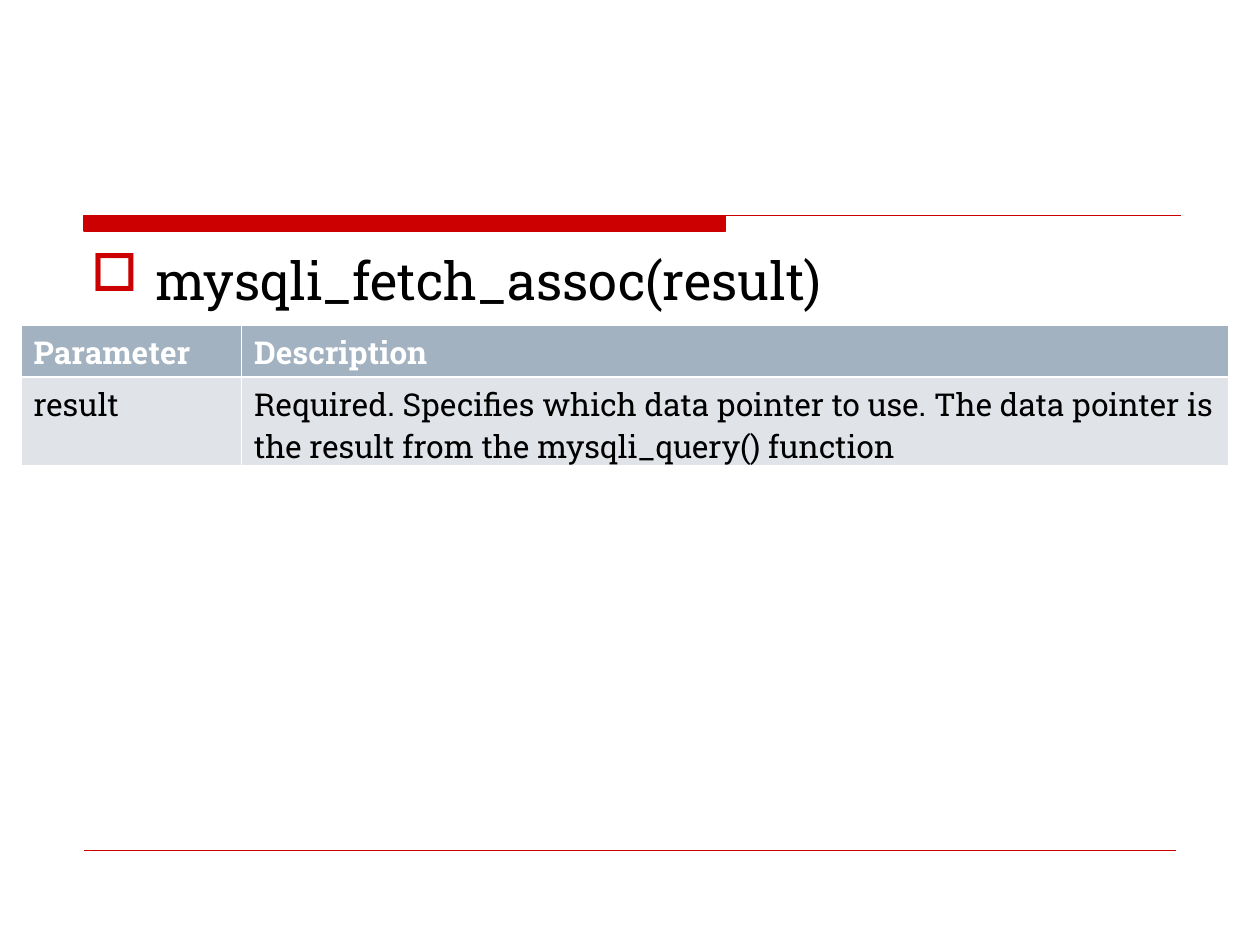
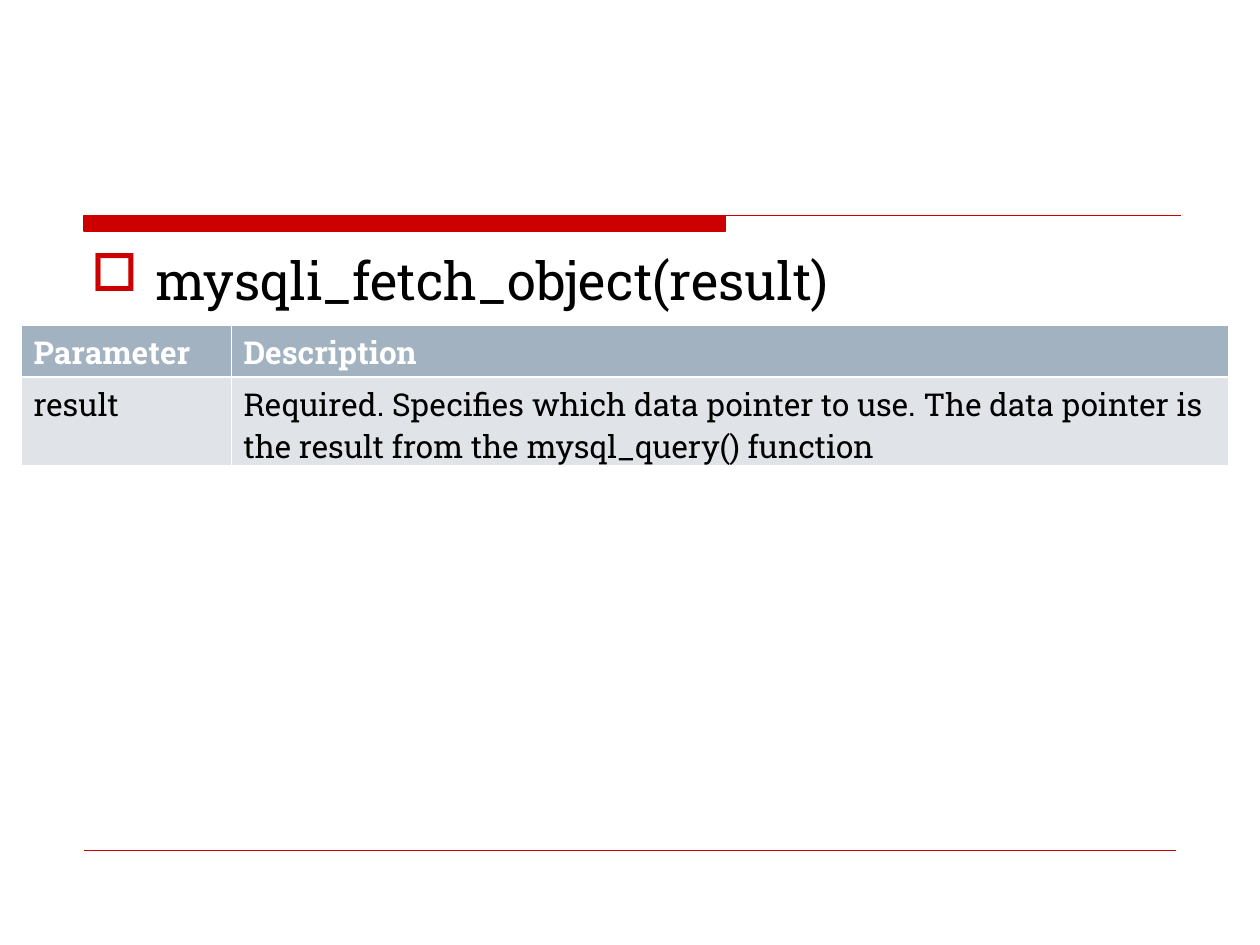
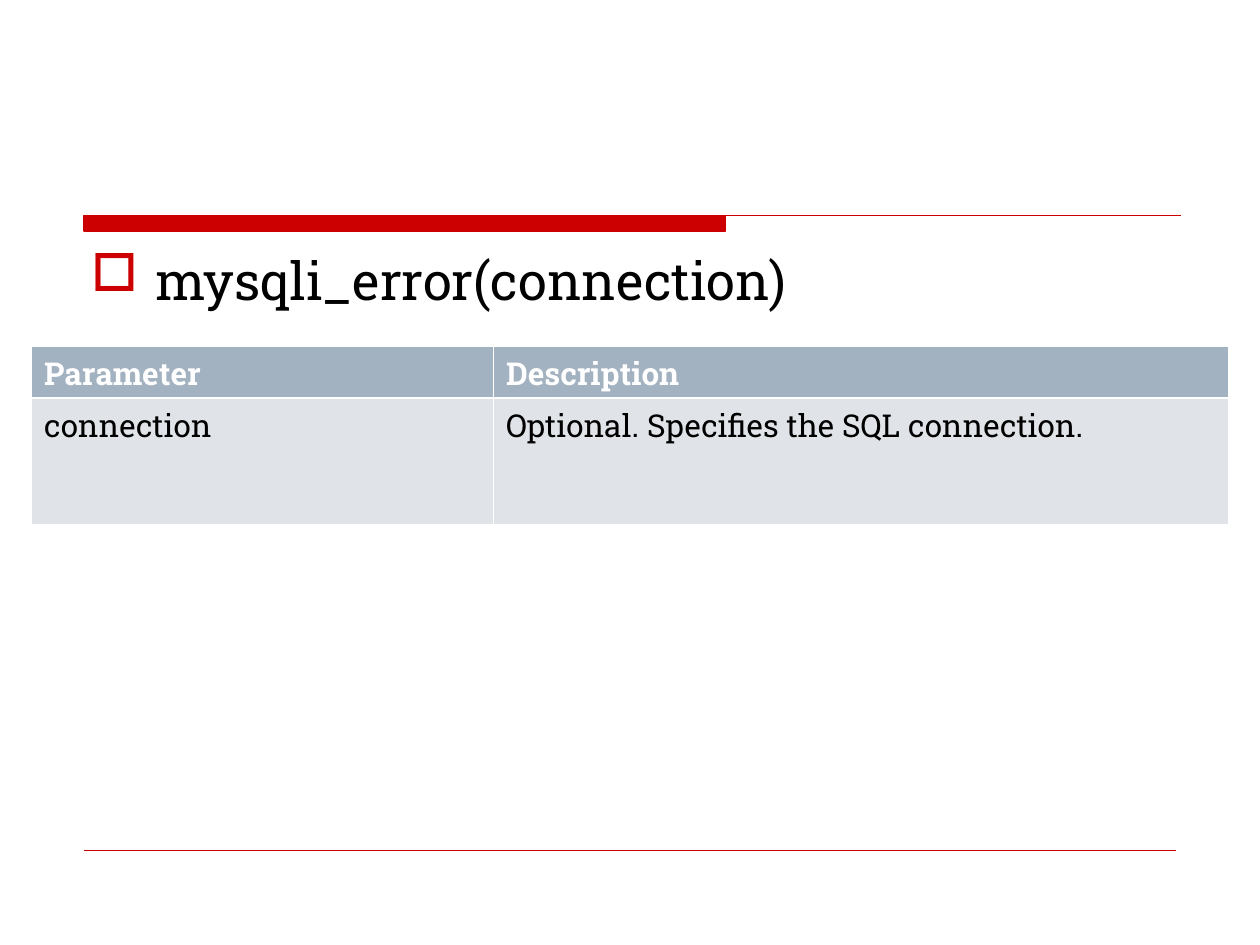
from lxml import etree
from pptx import Presentation
from pptx.dml.color import RGBColor
from pptx.enum.shapes import MSO_CONNECTOR
from pptx.enum.text import PP_ALIGN
from pptx.oxml.ns import qn
from pptx.util import Pt

STRAIGHT = MSO_CONNECTOR.STRAIGHT
LEFT = PP_ALIGN.LEFT
JUSTIFY = PP_ALIGN.JUSTIFY

RED = RGBColor(0xCC, 0x00, 0x00)
BLACK = RGBColor(0x00, 0x00, 0x00)
WHITE = RGBColor(0xFF, 0xFF, 0xFF)
HEADER_FILL = RGBColor(0xA3, 0xB2, 0xC1)
BODY_FILL = RGBColor(0xE0, 0xE4, 0xE9)
FONT = "Roboto Slab"
THIN, THICK = 0.45, 1.47
HEADER_HEIGHT = 29.5
RIGHT_EDGE = 702

ROW_STYLES = [
    {"fill": HEADER_FILL, "color": WHITE, "bold": True, "top": THIN, "bottom": THICK},
    {"fill": BODY_FILL, "color": BLACK, "bold": False, "top": THICK, "bottom": THIN},
]

FUNCTIONS = [
    {
        "signature": "mysqli_fetch_assoc(result)",
        "parameter": "result",
        "description": "Required. Specifies which data pointer to use. The data pointer is "
                       "the result from the mysqli_query() function",
        "left": 12, "top": 186, "parameter_width": 126, "body_height": 50.5, "align": LEFT,
    },
    {
        "signature": "mysqli_fetch_object(result)",
        "parameter": "result",
        "description": "Required. Specifies which data pointer to use. The data pointer is "
                       "the result from the mysql_query() function",
        "left": 12, "top": 186, "parameter_width": 120, "body_height": 50.5, "align": LEFT,
    },
    {
        "signature": "mysqli_error(connection)",
        "parameter": "connection",
        "description": "Optional. Specifies the SQL connection.",
        "left": 18, "top": 198, "parameter_width": 264, "body_height": 72, "align": JUSTIFY,
    },
]


def write(paragraph, text, size, color, bold=False):
    run = paragraph.add_run()
    run.text = text
    for name, value in {"name": FONT, "size": Pt(size), "bold": bold}.items():
        setattr(run.font, name, value)
    run.font.color.rgb = color


def add_colored(parent, tag, color, **attributes):
    element = etree.SubElement(parent, qn(tag), **attributes)
    holder = element if tag == "a:buClr" else etree.SubElement(element, qn("a:solidFill"))
    etree.SubElement(holder, qn("a:srgbClr"), val=str(color))


prs = Presentation()
prs.slide_width, prs.slide_height = Pt(720), Pt(540)

for function in FUNCTIONS:
    slide = prs.slides.add_slide(prs.slide_layouts[6])

    outline = slide.shapes.build_freeform(Pt(48), Pt(123))
    outline.add_line_segments(
        [(Pt(414.5), Pt(123)), (Pt(414.5), Pt(132)), (Pt(48), Pt(132))], close=True)
    outline.move_to(Pt(48), Pt(123))
    outline.add_line_segments([(Pt(675), Pt(123))], close=False)
    title_rule = outline.convert_to_shape()
    title_rule.shadow.inherit = False
    title_rule.fill.solid()
    title_rule.fill.fore_color.rgb = RED
    title_rule.line.color.rgb = RED
    title_rule.line.width = Pt(0.75)

    footer_rule = slide.shapes.add_connector(STRAIGHT, Pt(48), Pt(486), Pt(672), Pt(486))
    footer_rule.line.color.rgb = RED
    footer_rule.line.width = Pt(0.25)
    etree.SubElement(footer_rule._element.spPr, qn("a:effectLst"))

    signature = slide.shapes.add_textbox(Pt(45), Pt(138), Pt(630), Pt(336))
    signature.text_frame.word_wrap = True
    paragraph = signature.text_frame.paragraphs[0]
    paragraph.space_before = Pt(7.5)
    properties = paragraph._p.get_or_add_pPr()
    properties.set("marL", str(Pt(36.75)))
    properties.set("indent", str(-Pt(36.75)))
    add_colored(properties, "a:buClr", RED)
    etree.SubElement(properties, qn("a:buChar"), char="□")
    write(paragraph, function["signature"], 30, BLACK)

    widths = [function["parameter_width"],
              RIGHT_EDGE - function["left"] - function["parameter_width"]]
    heights = [HEADER_HEIGHT, function["body_height"]]
    parameters = slide.shapes.add_table(
        2, 2, Pt(function["left"]), Pt(function["top"]),
        Pt(sum(widths)), Pt(sum(heights))).table
    for column, width in zip(parameters.columns, widths):
        column.width = Pt(width)
    for row, height in zip(parameters.rows, heights):
        row.height = Pt(height)

    texts = [["Parameter", "Description"], [function["parameter"], function["description"]]]
    for row, row_texts, style in zip(parameters.rows, texts, ROW_STYLES):
        for cell, text in zip(row.cells, row_texts):
            borders = {"a:lnL": THIN, "a:lnR": THIN,
                       "a:lnT": style["top"], "a:lnB": style["bottom"]}
            for side, width in borders.items():
                add_colored(cell._tc.get_or_add_tcPr(), side, WHITE, w=str(Pt(width)))
            cell.fill.solid()
            cell.fill.fore_color.rgb = style["fill"]
            paragraph = cell.text_frame.paragraphs[0]
            paragraph.alignment = function["align"]
            write(paragraph, text, 18, style["color"], style["bold"])

prs.save("out.pptx")
